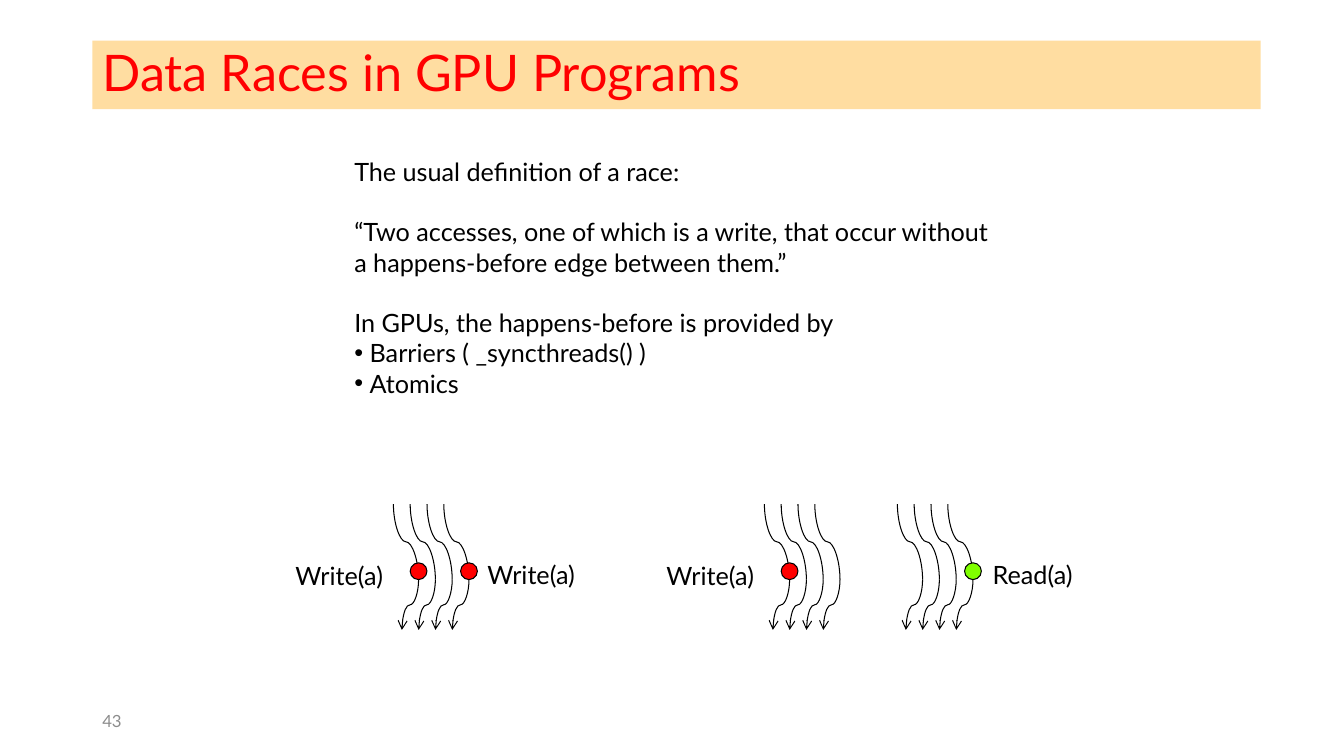
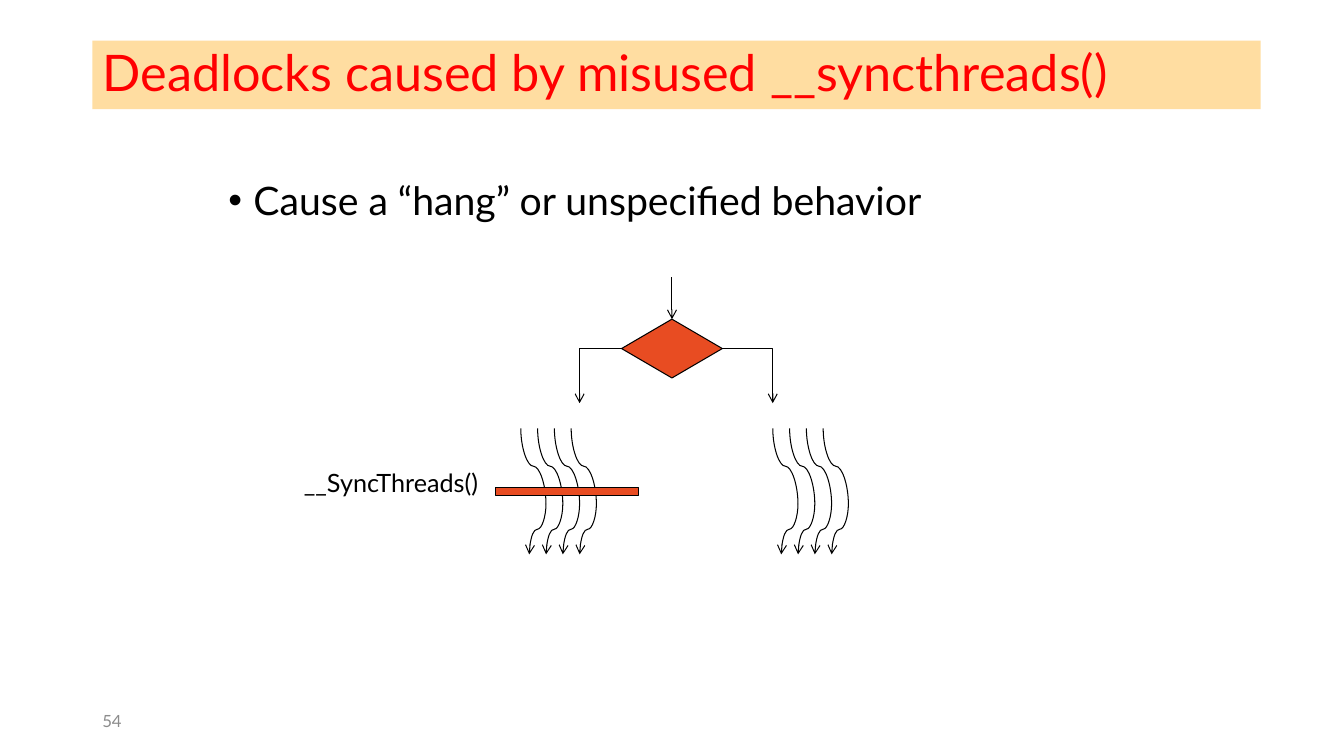
from dataclasses import dataclass
from typing import Any

from lxml import etree
from pptx import Presentation
from pptx.dml.color import RGBColor
from pptx.enum.shapes import MSO_CONNECTOR, MSO_SHAPE
from pptx.enum.text import MSO_ANCHOR, MSO_AUTO_SIZE, PP_ALIGN
from pptx.oxml.ns import qn
from pptx.util import Pt

CURVE, ELBOW, LINE = MSO_CONNECTOR.CURVE, MSO_CONNECTOR.ELBOW, MSO_CONNECTOR.STRAIGHT
OVAL, RECT, GEM = MSO_SHAPE.OVAL, MSO_SHAPE.RECTANGLE, MSO_SHAPE.DIAMOND
TOP, MIDDLE = MSO_ANCHOR.TOP, MSO_ANCHOR.MIDDLE
LEFT, FIXED = PP_ALIGN.LEFT, MSO_AUTO_SIZE.NONE

COLORS = {
    "ink": "000000", "title": "FF0000", "band": "FFBD47", "page": "8C8C8C",
    "write": "FF0000", "read": "80FF00", "sync": "E84C22",
}
FONT = "Lato"
FORMATS: dict[str, dict[str, Any]] = {
    "title": {"name": FONT, "size": Pt(36), "bold": False},
    "point": {"name": FONT, "size": Pt(28)},
    "text": {"name": FONT, "size": Pt(18)},
    "page": {"name": FONT, "size": Pt(12)},
}
FRAME = {"word_wrap": True, "auto_size": FIXED}

# Thread bundle: four lanes, each swings right and then back
LANES, PITCH = 4, 12
SWING, BACK = 18, 12
FALL, TAIL = 54, 36
DOT = 12

Point = tuple[float, float]


@dataclass(frozen=True)
class Box:
    x: float
    y: float
    w: float
    h: float

    def place(self) -> tuple[Pt, Pt, Pt, Pt]:
        return Pt(self.x), Pt(self.y), Pt(self.w), Pt(self.h)


@dataclass(frozen=True)
class Para:
    text: str
    before: float = 0
    indent: float = 0
    spacing: float = 1.0


@dataclass(frozen=True)
class Access:
    lane: int
    text: str
    color: str
    shift: float
    drop: float = 36


@dataclass(frozen=True)
class Bundle:
    x: float
    y: float
    marks: tuple[Access, ...] = ()


TITLE_BOX = Box(66, 29, 834.5, 49)
PAGE_BOX = Box(66, 500.5, 216, 28.75)

LEFT_WRITE = Access(0, "Write(a)", "write", -77, 37)
RACES = (
    Bundle(281, 360, (LEFT_WRITE, Access(3, "Write(a)", "write", 60))),
    Bundle(546, 360, (LEFT_WRITE,)),
    Bundle(641, 360, (Access(3, "Read(a)", "read", 61),)),
)
BRANCHES = (Bundle(372, 306), Bundle(552, 306))

RACE_TEXT = (
    Para("The usual definition of a race:"),
    Para("“Two accesses, one of which is a write, that occur without", 21.6),
    Para("a happens-before edge between them.”"),
    Para("In GPUs, the happens-before is provided by", 21.6),
    Para("Barriers ( _syncthreads() )", indent=11),
    Para("Atomics", indent=11),
)


def tint(color: Any, name: str) -> None:
    color.rgb = RGBColor.from_string(COLORS[name])


# Text
def write(frame: Any, paras: tuple[Para, ...], fmt: str, color: str,
          anchor: Any = TOP) -> None:
    for key, value in FRAME.items():
        setattr(frame, key, value)
    frame.vertical_anchor = anchor
    for i, item in enumerate(paras):
        para = frame.add_paragraph() if i else frame.paragraphs[0]
        if item.indent:
            props = para._p.get_or_add_pPr()
            props.set("marL", str(Pt(item.indent)))
            props.set("indent", str(-Pt(item.indent)))
            etree.SubElement(props, qn("a:buFont")).set("typeface", "Arial")
            etree.SubElement(props, qn("a:buChar")).set("char", "•")
        para.alignment = LEFT
        para.line_spacing = item.spacing
        if item.before:
            para.space_before = Pt(item.before)
        run = para.add_run()
        run.text = item.text
        for key, value in FORMATS[fmt].items():
            setattr(run.font, key, value)
        tint(run.font.color, color)


def label(slide: Any, box: Box, *paras: Para, fmt: str = "text",
          color: str = "ink", anchor: Any = TOP) -> None:
    frame = slide.shapes.add_textbox(*box.place()).text_frame
    write(frame, paras, fmt, color, anchor)


# Shapes and lines
def block(slide: Any, kind: Any, box: Box, color: str) -> None:
    shape = slide.shapes.add_shape(kind, *box.place())
    shape.shadow.inherit = False
    shape.fill.solid()
    tint(shape.fill.fore_color, color)
    tint(shape.line.color, "ink")
    shape.line.width = Pt(0.75)


def link(shapes: Any, kind: Any, start: Point, end: Point, turn: int = 0,
         arrow: bool = True) -> None:
    line = shapes.add_connector(kind, *map(Pt, start + end))
    tint(line.line.color, "ink")
    line.line.width = Pt(0.75)
    props = line._element.spPr
    if turn:
        props.find(qn("a:xfrm")).set("rot", str(turn * 60000))
    if kind == ELBOW:
        props.find(qn("a:prstGeom")).set("prst", "bentConnector2")
    if arrow:
        etree.SubElement(props.find(qn("a:ln")), qn("a:tailEnd")).set("type", "arrow")
    etree.SubElement(props, qn("a:effectLst"))


def curve(shapes: Any, start: Point, end: Point, arrow: bool) -> None:
    """Draw an S-curve that leaves and arrives vertically (a quarter turn)."""
    (x1, y1), (x2, y2) = start, end
    mid_x, mid_y = (x1 + x2) / 2, (y1 + y2) / 2
    half_w, half_h = (y2 - y1) / 2, (x2 - x1) / 2
    link(shapes, CURVE, (mid_x - half_w, mid_y + half_h),
         (mid_x + half_w, mid_y - half_h), 90, arrow)


def threads(slide: Any, item: Bundle) -> None:
    shapes = slide.shapes.add_group_shape().shapes
    for lane in range(LANES):
        x = item.x + lane * PITCH
        bend = (x + SWING, item.y + FALL)
        curve(shapes, bend, (bend[0] - BACK, bend[1] + TAIL), True)
        curve(shapes, (x, item.y), bend, False)
    for mark in item.marks:
        x = item.x + mark.lane * PITCH + SWING - DOT / 2
        block(slide, OVAL, Box(x, item.y + FALL - DOT, DOT, DOT), mark.color)
        spot = Box(item.x + mark.shift, item.y + mark.drop, 81, 29)
        label(slide, spot, Para(mark.text))


# Title band and page number
def start(deck: Any, title: str, page: str) -> Any:
    slide = deck.slides.add_slide(deck.slide_layouts[5])
    band = slide.shapes.title
    band.left, band.top, band.width, band.height = TITLE_BOX.place()
    band.fill.solid()
    tint(band.fill.fore_color, "band")
    shade = band._element.spPr.find(".//" + qn("a:srgbClr"))
    etree.SubElement(shade, qn("a:alpha")).set("val", "51000")
    write(band.text_frame, (Para(title, spacing=0.9),), "title", "title", MIDDLE)
    label(slide, PAGE_BOX, Para(page), fmt="page", color="page", anchor=MIDDLE)
    return slide


def races(deck: Any) -> None:
    slide = start(deck, "Data Races in GPU Programs", "43")
    for item in RACES:
        threads(slide, item)
    label(slide, Box(246, 108, 498, 181.5), *RACE_TEXT)


def locks(deck: Any) -> None:
    slide = start(deck, "Deadlocks caused by misused __syncthreads()", "54")
    point = Para("Cause a “hang” or unspecified behavior", indent=18, spacing=0.9)
    label(slide, Box(156, 126, 648, 180), point, fmt="point")
    for item in BRANCHES:
        threads(slide, item)
    # Branch; the left arm is turned half round
    block(slide, GEM, Box(444, 228, 72, 42), "sync")
    link(slide.shapes, LINE, (480, 198), (480, 228))
    link(slide.shapes, ELBOW, (414, 288), (444, 249), 180)
    link(slide.shapes, ELBOW, (516, 249), (552, 288))
    # Barrier
    block(slide, RECT, Box(354, 348, 102, 6), "sync")
    label(slide, Box(210, 330, 148, 29), Para("__SyncThreads()"))


def main() -> None:
    deck = Presentation()
    deck.slide_width, deck.slide_height = Pt(960), Pt(540)
    races(deck)
    locks(deck)
    deck.save("out.pptx")


if __name__ == "__main__":
    main()
